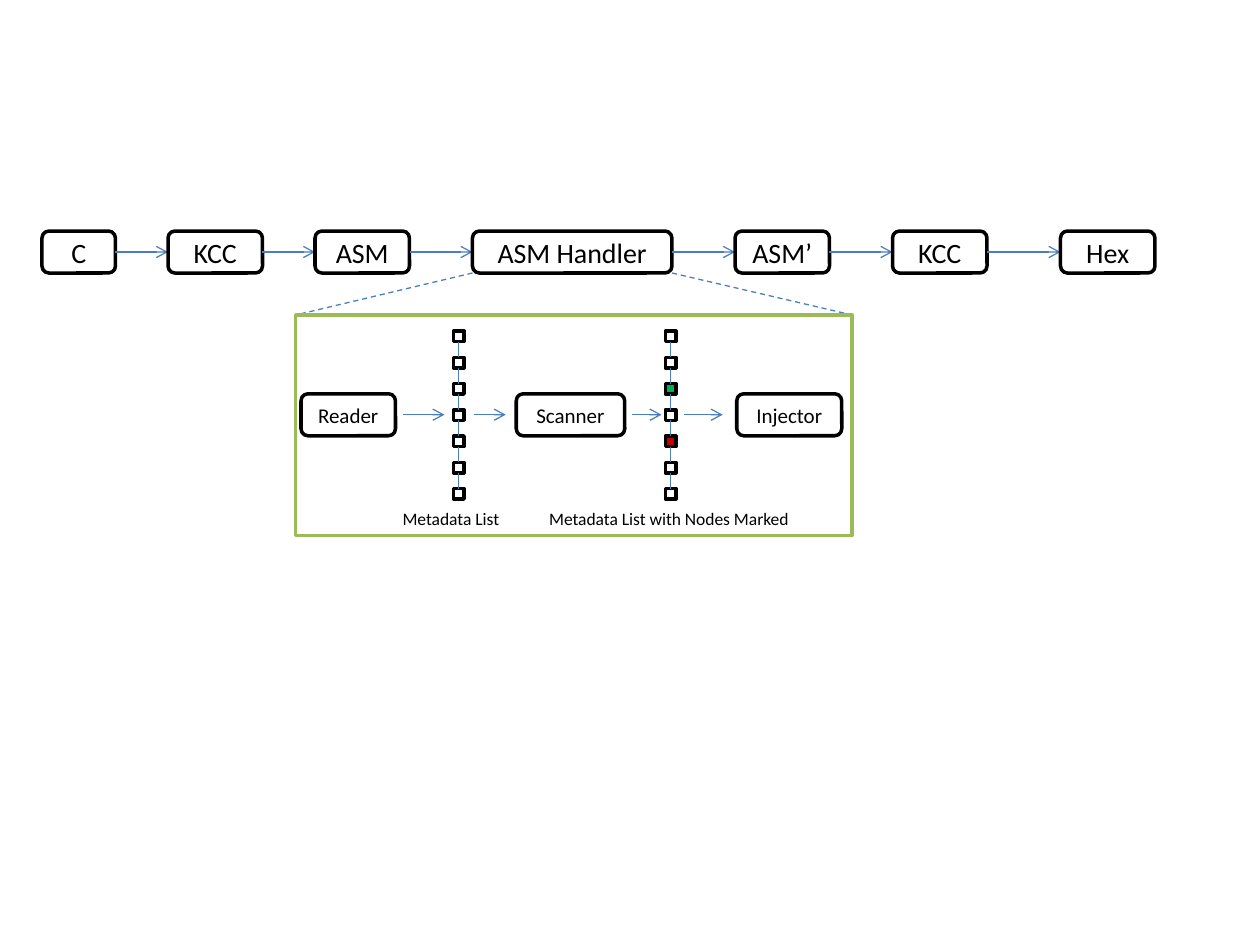
import pptx
import pptx.util
import pptx.dml.color
import pptx.enum.dml
import pptx.enum.shapes
import pptx.enum.text
import pptx.oxml
import pptx.oxml.ns
import lxml.etree

Pt = pptx.util.Pt
SHAPES = pptx.enum.shapes.MSO_SHAPE
BLACK, WHITE, BLUE, LIME = "000000", "FFFFFF", "4B7EBC", "9BBB59"
GREEN, RED = "00B050", "C00000"

presentation = pptx.Presentation()
presentation.slide_width, presentation.slide_height = Pt(720), Pt(540)
slide = presentation.slides.add_slide(presentation.slide_layouts[6])
color = pptx.dml.color.RGBColor.from_string


def add_box(kind, left, top, width, height, fill=WHITE, outline=BLACK, text="", size=16):
    shape = slide.shapes.add_shape(kind, Pt(left), Pt(top), Pt(width), Pt(height))
    shape.shadow.inherit = False
    if fill:
        shape.fill.solid()
        shape.fill.fore_color.rgb = color(fill)
    else:
        shape.fill.background()
    shape.line.color.rgb = color(outline)
    shape.line.width = Pt(2)
    if text:
        shape.text_frame.text = text
        shape.text_frame.vertical_anchor = pptx.enum.text.MSO_ANCHOR.MIDDLE
        paragraph = shape.text_frame.paragraphs[0]
        paragraph.alignment = pptx.enum.text.PP_ALIGN.CENTER
        font = paragraph.runs[0].font
        font.name, font.size, font.color.rgb = "Calibri", Pt(size), color(BLACK)


def add_line(x1, y1, x2, y2, arrow=False, dashed=False):
    line = slide.shapes.add_connector(
        pptx.enum.shapes.MSO_CONNECTOR.STRAIGHT, Pt(x1), Pt(y1), Pt(x2), Pt(y2))
    line.line.color.rgb = color(BLUE)
    line.line.width = Pt(0.75)
    if dashed:
        line.line.dash_style = pptx.enum.dml.MSO_LINE.DASH
    qn = pptx.oxml.ns.qn
    properties = line._element.spPr
    if arrow:
        lxml.etree.SubElement(properties.find(qn("a:ln")), qn("a:tailEnd"), type="arrow")
    lxml.etree.SubElement(properties, qn("a:effectLst"))


# Build pipeline: each stage is linked to the one before it
stages = [("C", 24, 42), ("KCC", 96, 54), ("ASM", 180, 54), ("ASM Handler", 270, 114),
          ("ASM’", 420, 54), ("KCC", 510, 54), ("Hex", 606, 54)]
previous_right = None
for name, left, width in stages:
    if previous_right is not None:
        add_line(previous_right, 144, left, 144, arrow=True)
    add_box(SHAPES.ROUNDED_RECTANGLE, left, 132, width, 24, text=name)
    previous_right = left + width

# Detail frame opened up from the handler
frame_left, frame_top, frame_width = 169, 180, 318
add_line(270, 156, frame_left, frame_top, dashed=True)
add_line(384, 156, frame_left + frame_width, frame_top, dashed=True)
add_box(SHAPES.RECTANGLE, frame_left, frame_top, frame_width, 126, fill=None, outline=LIME)

# Metadata lists: chains of seven nodes, some marked by colour
node_size, node_pitch, first_top = 6, 15, 189.2
for left, marks in [(259.2, {}), (380.2, {2: GREEN, 4: RED})]:
    center = left + node_size / 2
    for index in range(7):
        top = first_top + index * node_pitch
        add_box(SHAPES.RECTANGLE, left, top, node_size, node_size, fill=marks.get(index, WHITE))
        if index:
            add_line(center, top - node_pitch + node_size, center, top)

# Handler steps and the flow between them
for name, left, width in [("Reader", 172, 54), ("Scanner", 295, 62), ("Injector", 421, 60)]:
    add_box(SHAPES.ROUNDED_RECTANGLE, left, 225, width, 24, text=name, size=12)
for start, end in [(230.4, 254), (271, 289), (361, 378), (391, 413)]:
    add_line(start, 237, end, 237, arrow=True)

# List captions
for caption, left, width in [("Metadata List", 223, 78),
                             ("Metadata List with Nodes Marked", 306.7, 156)]:
    text_box = slide.shapes.add_textbox(Pt(left), Pt(286.6), Pt(width), Pt(19.4))
    text_box.text_frame.text = caption
    text_box.text_frame.word_wrap = False
    font = text_box.text_frame.paragraphs[0].runs[0].font
    font.name, font.size, font.color.rgb = "Calibri", Pt(10), color(BLACK)

presentation.save("out.pptx")
